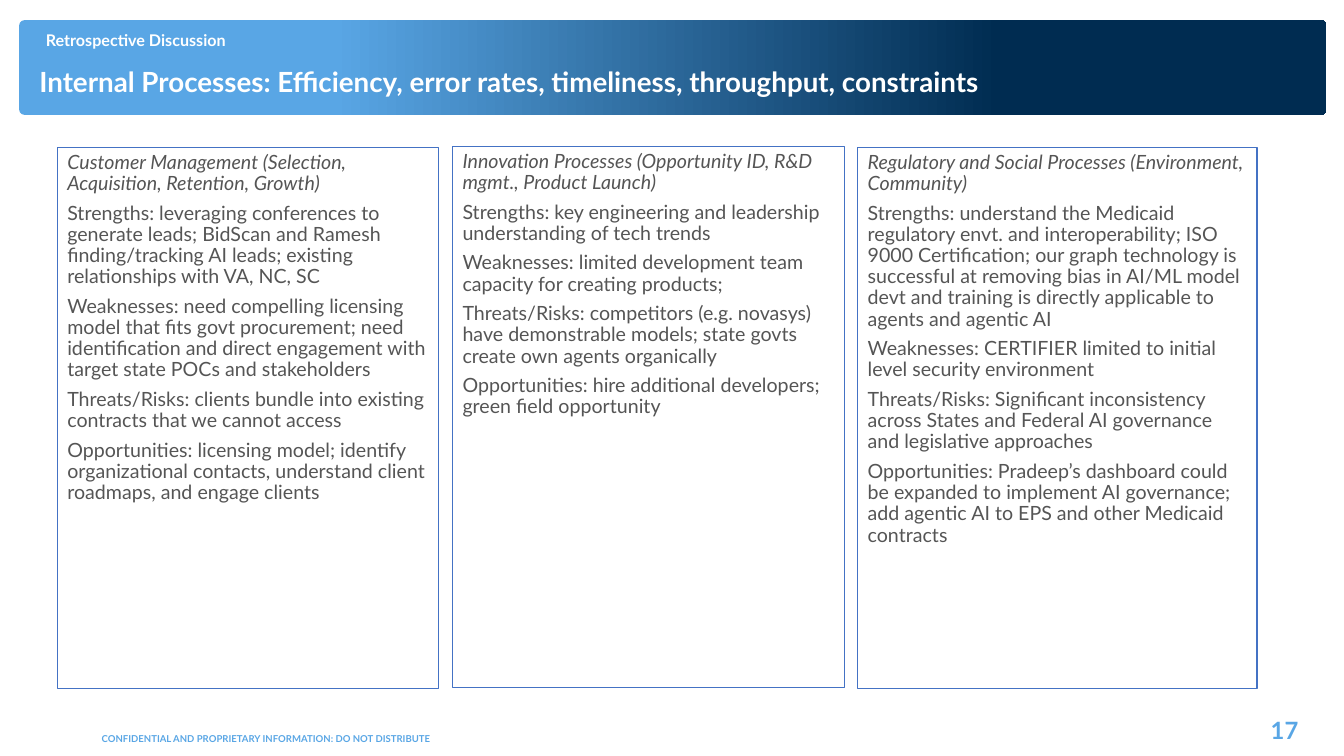
"""Build the internal processes retrospective slide."""
from copy import deepcopy

from pptx import Presentation
from pptx.dml.color import RGBColor
from pptx.enum import shapes, text
from pptx.util import Pt

SKY = RGBColor(0x59, 0xA6, 0xE5)
NAVY = RGBColor(0x00, 0x2C, 0x51)
WHITE = RGBColor(0xFF, 0xFF, 0xFF)
GREY = RGBColor(0x55, 0x55, 0x55)
BORDER = RGBColor(0x44, 0x72, 0xC4)

BAND_STOPS = [(0, SKY), (0.24, SKY), (0.75, NAVY), (1, NAVY)]

COLUMNS = [
    ((41, 105.3, 272.2, 386.6), [
        "Customer Management (Selection, Acquisition, Retention, Growth)",
        "Strengths: leveraging conferences to generate leads; BidScan and Ramesh "
        "finding/tracking AI leads; existing relationships with VA, NC, SC",
        "Weaknesses: need compelling licensing model that fits govt procurement; need "
        "identification and direct engagement with target state POCs and stakeholders",
        "Threats/Risks: clients bundle into existing contracts that we cannot access",
        "Opportunities: licensing model; identify organizational contacts, understand "
        "client roadmaps, and engage clients",
    ]),
    ((323.3, 104.6, 280.1, 386.6), [
        "Innovation Processes (Opportunity ID, R&D mgmt., Product Launch)",
        "Strengths: key engineering and leadership understanding of tech trends",
        "Weaknesses: limited development team capacity for creating products;",
        "Threats/Risks: competitors (e.g. novasys) have demonstrable models; state govts "
        "create own agents organically",
        "Opportunities: hire additional developers; green field opportunity",
    ]),
    ((612.7, 105.3, 285.1, 386.6), [
        "Regulatory and Social Processes (Environment, Community)",
        "Strengths: understand the Medicaid regulatory envt. and interoperability; ISO "
        "9000 Certification; our graph technology is successful at removing bias in AI/ML "
        "model devt and training is directly applicable to agents and agentic AI",
        "Weaknesses: CERTIFIER limited to initial level security environment",
        "Threats/Risks: Significant inconsistency across States and Federal AI governance "
        "and legislative approaches",
        "Opportunities: Pradeep’s dashboard could be expanded to implement AI governance; "
        "add agentic AI to EPS and other Medicaid contracts",
    ]),
]


def place(shape, left, top, width, height):
    """Move a shape to a box given in points."""
    shape.left, shape.top = Pt(left), Pt(top)
    shape.width, shape.height = Pt(width), Pt(height)


def style(paragraph, size, color, bold=False, italic=False,
          align=text.PP_ALIGN.LEFT, spacing=1.0):
    """Format a whole paragraph."""
    paragraph.alignment = align
    paragraph.line_spacing = spacing
    font = paragraph.font
    font.name, font.size, font.bold, font.italic = "Lato", Pt(size), bold, italic
    font.color.rgb = color


def write_line(shape, words, size, color, anchor=text.MSO_ANCHOR.TOP, **options):
    """Fill a shape with one bold line."""
    frame = shape.text_frame
    frame.text = words
    frame.word_wrap = True
    frame.auto_size = text.MSO_AUTO_SIZE.NONE
    frame.vertical_anchor = anchor
    style(frame.paragraphs[0], size, color, bold=True, **options)


def add_label(slide, box, words, size, color, **options):
    """Add a text box holding one bold line."""
    label = slide.shapes.add_textbox(*map(Pt, box))
    write_line(label, words, size, color, **options)


def add_header(slide, left, top, width, height):
    """Draw the gradient band with its title and subtitle."""
    band = slide.shapes.add_shape(
        shapes.MSO_SHAPE.ROUNDED_RECTANGLE, Pt(left), Pt(top), Pt(width), Pt(height))
    band.adjustments[0] = 0.057
    band.shadow.inherit = False
    band.line.fill.background()
    band.fill.gradient()
    band.fill.gradient_angle = 0
    stop_list = band._element.spPr.find(".//{*}gsLst")
    for stop in list(stop_list):
        stop_list.append(deepcopy(stop))
    for stop, (position, color) in zip(band.fill.gradient_stops, BAND_STOPS):
        stop.position = position
        stop.color.rgb = color

    title = slide.shapes.title
    band._element.addnext(title._element)
    place(title, left + 7.2, top + 22.3, 727.9, 37.4)
    write_line(title, "Internal Processes: Efficiency, error rates, timeliness, "
               "throughput, constraints", 19.8, WHITE,
               anchor=text.MSO_ANCHOR.BOTTOM, spacing=0.9)
    add_label(slide, (left + 11.9, top + 6.5, 529.2, 19.4),
              "Retrospective Discussion", 11.5, WHITE, spacing=0.8)


def add_column(slide, box, entries):
    """Draw a bordered column with an italic heading and its findings."""
    column = slide.shapes.add_shape(shapes.MSO_SHAPE.RECTANGLE, *map(Pt, box))
    column.shadow.inherit = False
    column.fill.solid()
    column.fill.fore_color.rgb = WHITE
    column.line.color.rgb = BORDER
    column.line.width = Pt(1)
    frame = column.text_frame
    frame.word_wrap = True
    frame.vertical_anchor = text.MSO_ANCHOR.TOP
    for index, entry in enumerate(entries):
        paragraph = frame.paragraphs[0] if index == 0 else frame.add_paragraph()
        paragraph.text = entry
        paragraph.space_after = Pt(6)
        style(paragraph, 14, GREY, italic=index == 0, spacing=0.9)


def add_footer(slide, left, top, width, height):
    """Place the confidentiality line and the page number."""
    add_label(slide, (left, top + 12.6, 250.6, 15.8),
              "CONFIDENTIAL AND PROPRIETARY INFORMATION: DO NOT DISTRIBUTE", 6.8, SKY)
    number_width = 79.9
    add_label(slide, (left + width - number_width, top, number_width, height),
              "17", 17, SKY, anchor=text.MSO_ANCHOR.MIDDLE, align=text.PP_ALIGN.RIGHT)


def main():
    """Build and save the slide."""
    deck = Presentation()
    deck.slide_width, deck.slide_height = Pt(960), Pt(540)
    slide = deck.slides.add_slide(deck.slide_layouts[5])
    add_header(slide, 13.7, 14.4, 933.8, 67.7)
    for box, entries in COLUMNS:
        add_column(slide, box, entries)
    add_footer(slide, 65.5, 507.6, 869, 28.1)
    deck.save("out.pptx")


if __name__ == "__main__":
    main()
